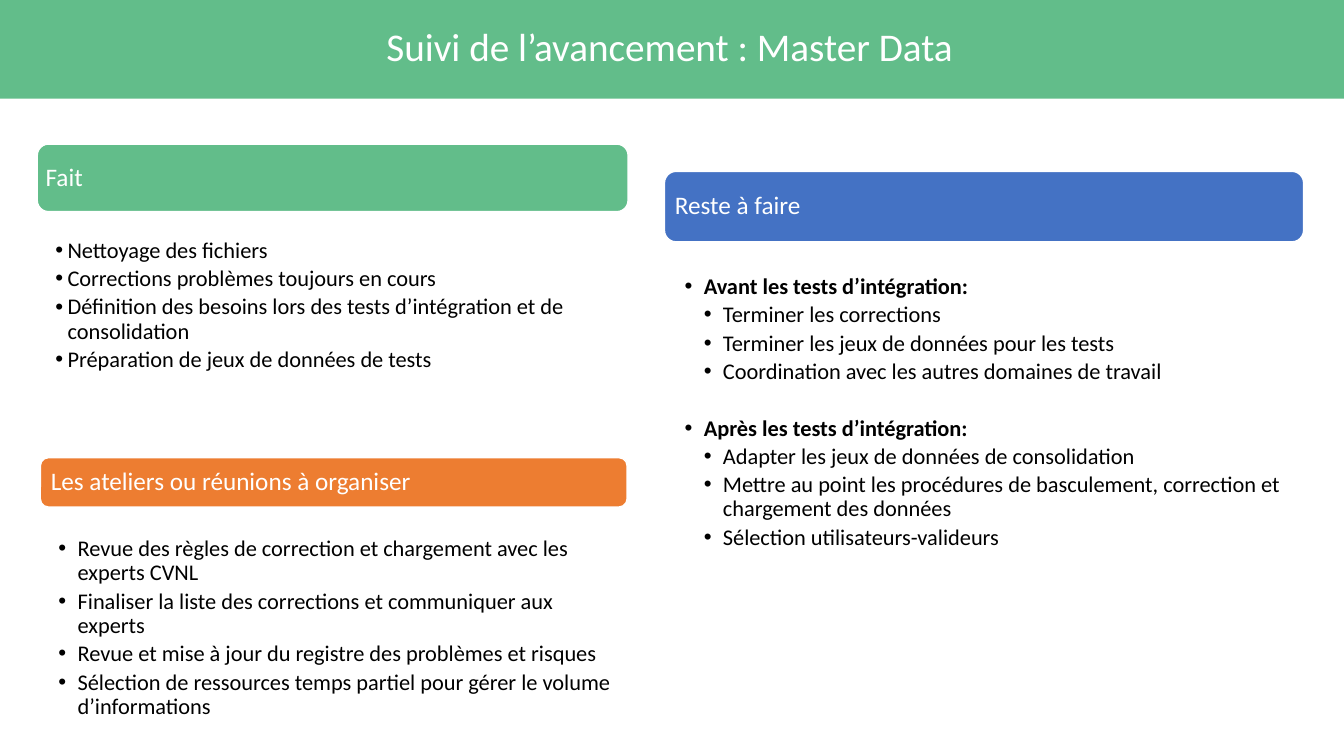
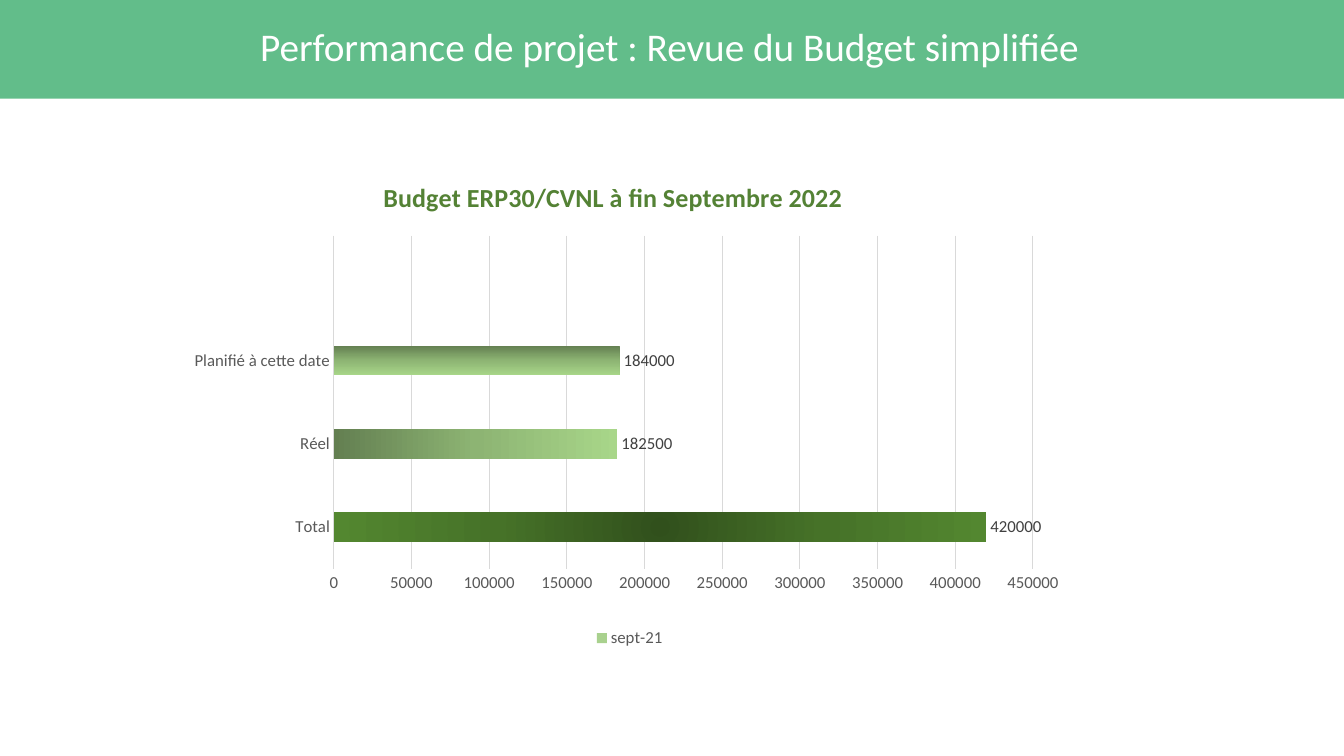
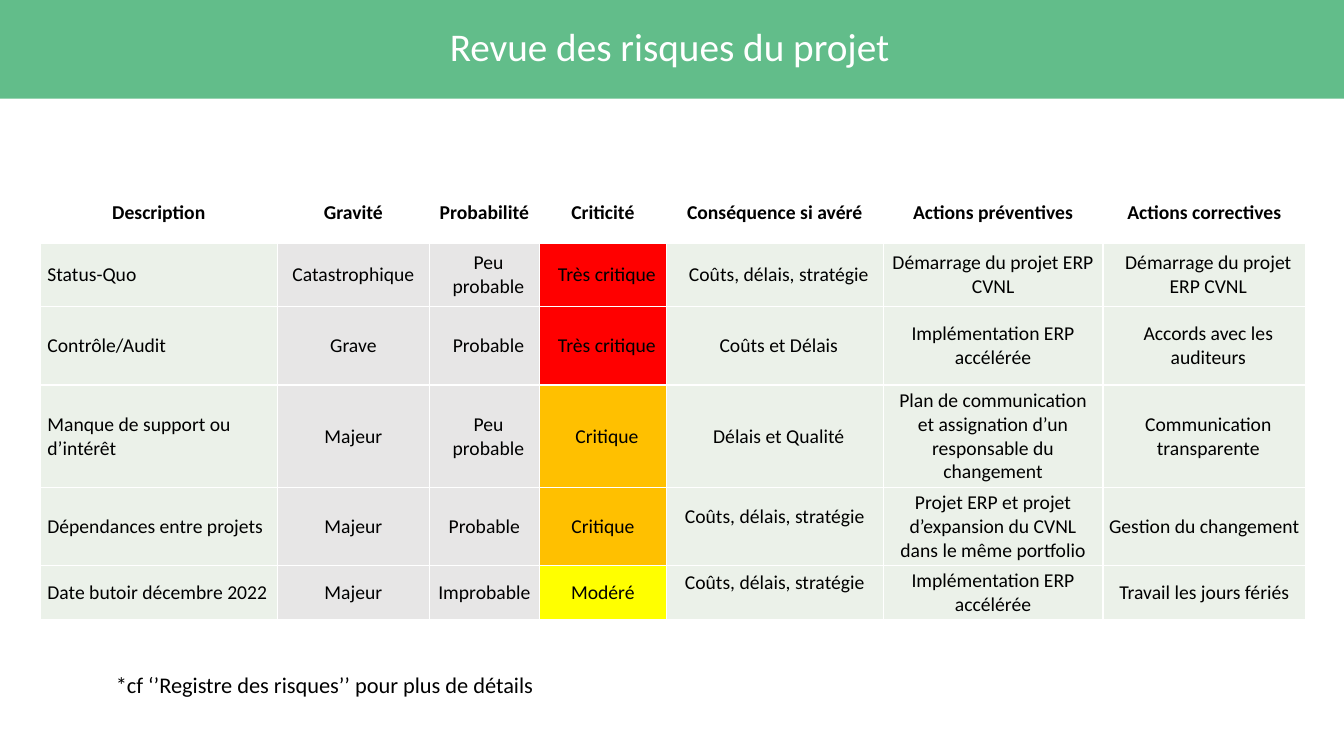
from pptx import Presentation
from pptx.chart.data import CategoryChartData
from pptx.dml.color import RGBColor
from pptx.enum.chart import XL_CHART_TYPE, XL_LABEL_POSITION, XL_LEGEND_POSITION, XL_TICK_MARK
from pptx.enum.shapes import MSO_SHAPE
from pptx.enum.text import MSO_ANCHOR, MSO_AUTO_SIZE, PP_ALIGN
from pptx.oxml.ns import qn
from pptx.util import Pt
from lxml.etree import SubElement

PX = 9144
FACE = "Calibri"
WHITE = RGBColor(0xFF, 0xFF, 0xFF)
BLACK = RGBColor(0x00, 0x00, 0x00)
GREEN = RGBColor(0x62, 0xBD, 0x8A)
BLUE = RGBColor(0x44, 0x72, 0xC4)
ORANGE = RGBColor(0xED, 0x7D, 0x31)
FOREST = RGBColor(0x54, 0x82, 0x35)
LEAF = RGBColor(0xA9, 0xD1, 0x8E)
SLATE = RGBColor(0x59, 0x59, 0x59)
COAL = RGBColor(0x40, 0x40, 0x40)
RULE = RGBColor(0xD9, 0xD9, 0xD9)
MINT = RGBColor(0xEB, 0xF1, 0xE9)
GREY = RGBColor(0xE7, 0xE6, 0xE6)
RED = RGBColor(0xFF, 0x00, 0x00)
AMBER = RGBColor(0xFF, 0xC0, 0x00)
YELLOW = RGBColor(0xFF, 0xFF, 0x00)

HEAD = {"name": FACE, "size": Pt(28), "rgb": WHITE, "bold": False}
LABEL = {"name": FACE, "size": Pt(18), "rgb": WHITE, "bold": False}
BODY = {"name": FACE, "size": Pt(16), "rgb": BLACK, "bold": False}
CELL = {"name": FACE, "size": Pt(14), "rgb": BLACK, "bold": False}
AXIS = {"name": FACE, "size": Pt(12), "rgb": SLATE, "bold": False}
FRAME = {"word_wrap": True, "auto_size": MSO_AUTO_SIZE.NONE}
MIDDLE = FRAME | {"vertical_anchor": MSO_ANCHOR.MIDDLE}
TOP = FRAME | {"vertical_anchor": MSO_ANCHOR.TOP}

deck = Presentation()
deck.slide_width, deck.slide_height = 1333 * PX, 750 * PX


def dress(item, style):
    for key, value in style.items():
        if key == "rgb":
            item.color.rgb = value
        else:
            setattr(item, key, value)


def page(kind, text):
    slide = deck.slides.add_slide(deck.slide_layouts.get_by_name(kind))
    band = slide.shapes.add_shape(MSO_SHAPE.RECTANGLE, 0, 0, 1333 * PX, 98 * PX)
    band.shadow.inherit = False
    band.fill.solid()
    band.fill.fore_color.rgb = GREEN
    band.line.fill.background()
    slide.shapes._spTree.insert(2, band._element)
    title = slide.shapes.title
    dress(title, {"left": 48 * PX, "top": 22 * PX, "width": 1232 * PX, "height": 53 * PX})
    dress(title.text_frame, MIDDLE)
    title.text_frame.text = text
    para = title.text_frame.paragraphs[0]
    dress(para, {"alignment": PP_ALIGN.CENTER, "line_spacing": 0.9})
    dress(para.runs[0].font, HEAD)
    return slide


slide = page("Comparison", "Suivi de l’avancement : Master Data")
panels = [
    (1, "Fait", GREEN, (37, 143, 586, 67), 5, (36, 235, 586, 200), 19, 12, [
        "Nettoyage des fichiers",
        "Corrections problèmes toujours en cours",
        "Définition des besoins lors des tests d’intégration et de consolidation",
        "Préparation de jeux de données de tests"]),
    (2, "Les ateliers ou réunions à organiser", ORANGE, (40, 454, 582, 49), 8,
     (40, 531, 582, 196), 18, 19, [
        "Revue des règles de correction et chargement avec les experts CVNL",
        "Finaliser la liste des corrections et communiquer aux experts",
        "Revue et mise à jour du registre des problèmes et risques",
        "Sélection de ressources temps partiel pour gérer le volume d’informations"]),
    (4, "Reste à faire", BLUE, (659, 170, 634, 70), 7, (659, 271, 634, 325), 20, 19, [
        "Avant les tests d’intégration:",
        "Terminer les corrections",
        "Terminer les jeux de données pour les tests",
        "Coordination avec les autres domaines de travail",
        "Après les tests d’intégration:",
        "Adapter les jeux de données de consolidation",
        "Mettre au point les procédures de basculement, correction et chargement des données",
        "Sélection utilisateurs-valideurs"]),
]
slots = {slot.placeholder_format.idx: slot for slot in slide.placeholders}
slots[3]._element.getparent().remove(slots[3]._element)
for slot, name, tint, spot, inset, area, pad, hang, lines in panels:
    bar = slide.shapes.add_shape(MSO_SHAPE.ROUNDED_RECTANGLE, *[n * PX for n in spot])
    bar.shadow.inherit = False
    bar.fill.solid()
    bar.fill.fore_color.rgb = tint
    dress(bar.line, {"rgb": WHITE, "width": Pt(1)})
    dress(bar.text_frame, MIDDLE | {"margin_left": inset * PX})
    para = bar.text_frame.paragraphs[0]
    para.text = name
    dress(para, {"alignment": PP_ALIGN.LEFT, "line_spacing": 0.9})
    dress(para.runs[0].font, LABEL)

    body = slots[slot]
    dress(body, dict(zip(("left", "top", "width", "height"), [n * PX for n in area])))
    dress(body.text_frame, TOP | {"margin_left": pad * PX, "margin_right": 12 * PX,
                                  "margin_top": 2 * PX, "margin_bottom": 2 * PX})
    body.text_frame.text = "\n".join(lines)
    nested = lines[0].endswith(":")
    for row, para in enumerate(body.text_frame.paragraphs):
        lead = para.text.endswith(":")
        depth = int(nested and not lead)
        dress(para, {"level": depth, "line_spacing": 0.9, "space_after": Pt(3),
                     "space_before": Pt(20 if lead and row else 0)})
        dress(para.runs[0].font, BODY | {"bold": lead})
        props = para._p.get_or_add_pPr()
        props.set("marL", str((depth + 1) * hang * PX))
        props.set("indent", str(-hang * PX))
        SubElement(props, qn("a:buChar"), char="•")

slide = page("Title Only", "Performance de projet : Revue du Budget simplifiée")
data = CategoryChartData()
data.categories = ["Total", "Réel", "Planifié à cette date", ""]
data.add_series("sept-21", [420000, 182500, 184000, None])
spot = [n * PX for n in (180, 96, 889, 551)]
chart = slide.shapes.add_chart(XL_CHART_TYPE.BAR_CLUSTERED, *spot, data).chart
dress(chart.font, AXIS)
chart.has_title = True
chart.chart_title.text_frame.text = "Budget ERP30/CVNL à fin Septembre 2022"
dress(chart.chart_title.text_frame.paragraphs[0].runs[0].font,
      {"name": FACE, "size": Pt(18.6), "bold": True, "rgb": FOREST})
chart.has_legend = True
dress(chart.legend, {"position": XL_LEGEND_POSITION.BOTTOM, "include_in_layout": False})
dress(chart.legend.font, AXIS)
for axis in (chart.category_axis, chart.value_axis):
    dress(axis, {"major_tick_mark": XL_TICK_MARK.NONE, "minor_tick_mark": XL_TICK_MARK.NONE})
    dress(axis.tick_labels.font, AXIS)
thin = {"rgb": RULE, "width": Pt(0.75)}
dress(chart.category_axis.format.line, thin)
dress(chart.value_axis, {"minimum_scale": 0, "maximum_scale": 450000, "major_unit": 50000})
dress(chart.value_axis.major_gridlines.format.line, thin)
chart.value_axis.format.line.fill.background()
plot = chart.plots[0]
dress(plot, {"gap_width": 182, "vary_by_categories": False, "has_data_labels": True})
dress(plot.data_labels, {"show_value": True, "position": XL_LABEL_POSITION.OUTSIDE_END})
dress(plot.data_labels.font, AXIS | {"rgb": COAL})
series = plot.series[0]
series.format.fill.solid()
series.format.fill.fore_color.rgb = LEAF

pale = ("637F51", "8DB473", "A8D689")
blends = [(("31501C", "467228", "538730"), None), (pale, 0), (pale, 90)]
for spot in range(len(blends)):
    series.points[spot].format.fill.gradient()
for grad, (tints, angle) in zip(series._element.xpath("c:dPt//a:gradFill"), blends):
    for part in list(grad):
        grad.remove(part)
    stops = SubElement(grad, qn("a:gsLst"))
    for place, tint in enumerate(tints):
        stop = SubElement(stops, qn("a:gs"), pos=str(place * 50000))
        SubElement(stop, qn("a:srgbClr"), val=tint)
    if angle is None:
        ring = SubElement(grad, qn("a:path"), {"path": "circle"})
        SubElement(ring, qn("a:fillToRect"), {side: "50000" for side in "ltrb"})
    else:
        SubElement(grad, qn("a:lin"), ang=str(angle * 60000), scaled="0")

layouts = [
    ("c:chart/c:title", 1, {"xMode": "edge", "yMode": "edge", "x": 0.22, "y": 0.14}),
    ("c:chart/c:plotArea", 0, {"layoutTarget": "inner", "xMode": "edge", "yMode": "edge",
                               "x": 0.17, "y": 0.25, "w": 0.78, "h": 0.6}),
]
for query, order, values in layouts:
    node = chart._chartSpace.xpath(query)[0]
    for old in node.findall(qn("c:layout")):
        node.remove(old)
    layout = SubElement(node, qn("c:layout"))
    node.insert(order, layout)
    manual = SubElement(layout, qn("c:manualLayout"))
    for key, value in values.items():
        SubElement(manual, qn("c:" + key), val=str(value))

slide = page("Title Only", "Revue des risques du projet")
rows = [
    ("Description", "Gravité", "Probabilité", "Criticité", "Conséquence si avéré",
     "Actions préventives", "Actions correctives"),
    ("Status-Quo", "Catastrophique", "Peu probable", "Très critique",
     "Coûts, délais, stratégie", "Démarrage du projet ERP CVNL", "Démarrage du projet ERP CVNL"),
    ("Contrôle/Audit", "Grave", "Probable", "Très critique", "Coûts et Délais",
     "Implémentation ERP accélérée", "Accords avec les auditeurs"),
    ("Manque de support ou d’intérêt", "Majeur", "Peu probable", "Critique", "Délais et Qualité",
     "Plan de communication et assignation d’un responsable du changement",
     "Communication transparente"),
    ("Dépendances entre projets", "Majeur", "Probable", "Critique", "Coûts, délais, stratégie",
     "Projet ERP et projet d’expansion du CVNL dans le même portfolio", "Gestion du changement"),
    ("Date butoir décembre 2022", "Majeur", "Improbable", "Modéré", "Coûts, délais, stratégie",
     "Implémentation ERP accélérée", "Travail les jours fériés"),
]
wides = [235, 151, 109, 126, 215, 218, 201]
highs = [59, 63, 78, 102, 77, 54]
alerts = {"Très critique": RED, "Critique": AMBER, "Modéré": YELLOW}
spot = [n * PX for n in (40, 182, sum(wides), sum(highs))]
table = slide.shapes.add_table(len(rows), len(wides), *spot).table
dress(table, {"first_row": False, "horz_banding": False})
for column, wide in zip(table.columns, wides):
    column.width = wide * PX
for r, (high, texts) in enumerate(zip(highs, rows)):
    table.rows[r].height = high * PX
    for c, text in enumerate(texts):
        cell = table.cell(r, c)
        props = cell._tc.get_or_add_tcPr()
        for side in "LRTB":
            edge = SubElement(props, qn("a:ln" + side), w=str(Pt(1)))
            SubElement(SubElement(edge, qn("a:solidFill")), qn("a:srgbClr"), val=str(WHITE))
        cell.fill.solid()
        tint = GREY if c in (1, 2) else MINT
        cell.fill.fore_color.rgb = alerts.get(text, tint) if r else WHITE
        left = right = low = 0
        if r and c in (0, 1, 5):
            left = right = 7
        elif 1 <= r <= 3:
            left = 8
        elif r and c == 4:
            low = 20
        dress(cell, {"margin_left": left * PX, "margin_right": right * PX, "margin_top": 0,
                     "margin_bottom": low * PX, "vertical_anchor": MSO_ANCHOR.MIDDLE})
        cell.text = text
        para = cell.text_frame.paragraphs[0]
        para.alignment = PP_ALIGN.LEFT if r and c == 0 else PP_ALIGN.CENTER
        dress(para.runs[0].font, CELL | {"bold": r == 0})

note = slide.shapes.add_textbox(*[n * PX for n in (105, 661, 717, 37)])
dress(note.text_frame, TOP)
note.text_frame.text = "*cf ‘’Registre des risques’’ pour plus de détails"
dress(note.text_frame.paragraphs[0].runs[0].font, BODY)

deck.save("out.pptx")
